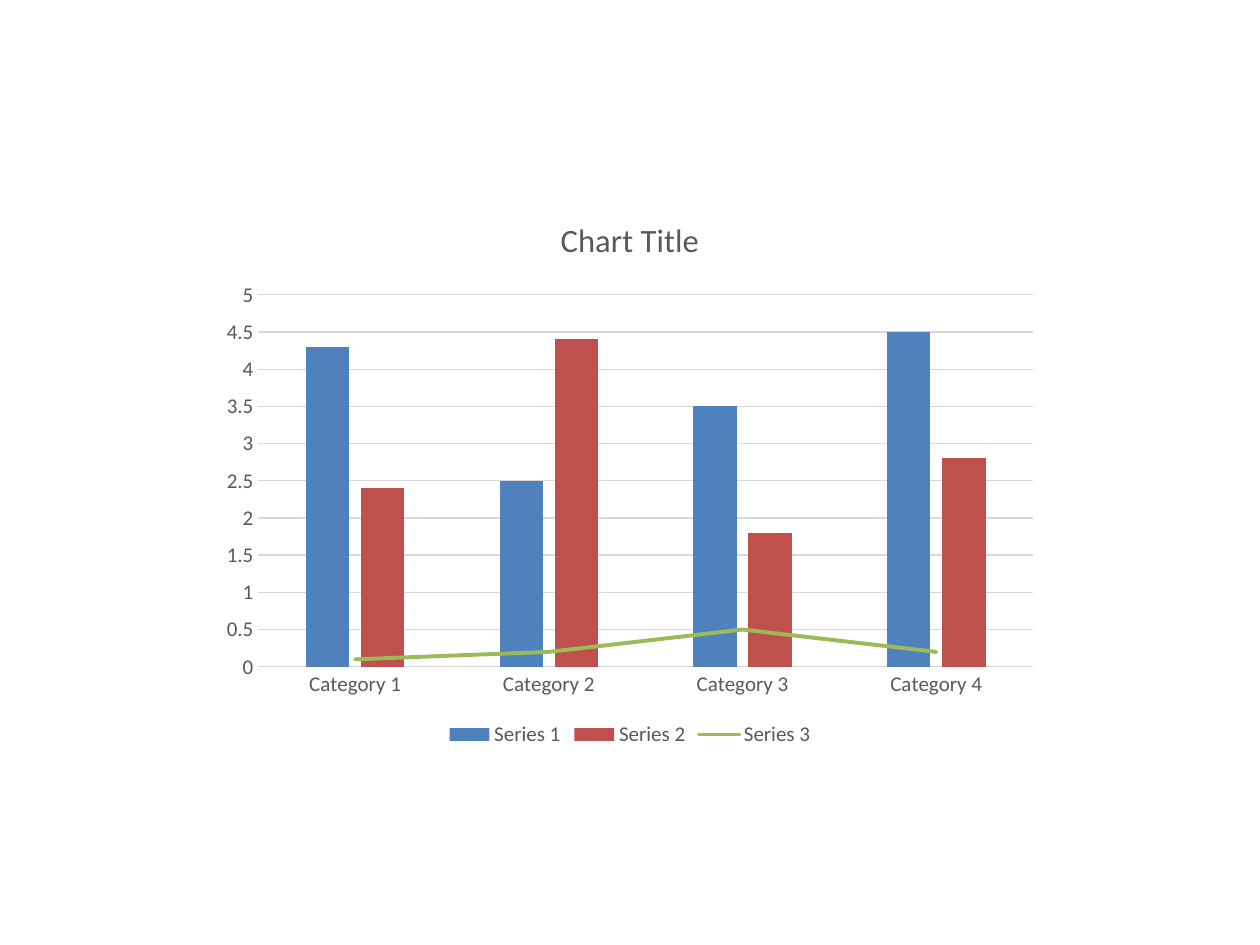
from copy import deepcopy

from lxml import etree
from pptx import Presentation
from pptx import util as u
from pptx.chart.data import CategoryChartData
from pptx.dml.color import RGBColor
from pptx.enum import chart as ch
from pptx.oxml import ns

# Content
TITLE = "Chart Title"
CATEGORIES = ["Category 1", "Category 2", "Category 3", "Category 4"]
SERIES = {
    "Series 1": (4.3, 2.5, 3.5, 4.5),
    "Series 2": (2.4, 4.4, 1.8, 2.8),
    "Series 3": (0.1, 0.2, 0.5, 0.2),
}
COLORS = {
    "Series 1": "4F81BD",
    "Series 2": "C0504D",
    "Series 3": "9BBB59",
    "text": "595959",
    "rule": "D9D9D9",
}
FONT = "Calibri"
PX = 914400 / 126


def px(length):
    return u.Emu(round(length * PX))


def color(name):
    return RGBColor.from_string(COLORS[name])


def style_font(font, size):
    font.name = FONT
    font.size = u.Pt(size)
    font.bold = False
    font.color.rgb = color("text")


def style_line(line, name, width):
    line.color.rgb = color(name)
    line.width = u.Pt(width)


def move_last_series_to_line(chart):
    """Draw the last column series as a line on the same axes."""
    bars = chart.plots[0]
    bar_xml = bars.series[0]._element.getparent()
    series = bars.series[len(bars.series) - 1]._element
    for flag in series.findall(ns.qn("c:invertIfNegative")):
        series.remove(flag)
    line_xml = etree.Element(ns.qn("c:lineChart"))
    etree.SubElement(line_xml, ns.qn("c:grouping")).set("val", "standard")
    etree.SubElement(line_xml, ns.qn("c:varyColors")).set("val", "0")
    line_xml.append(series)
    etree.SubElement(line_xml, ns.qn("c:marker")).set("val", "1")
    for axis_id in bar_xml.findall(ns.qn("c:axId")):
        line_xml.append(deepcopy(axis_id))
    bar_xml.addnext(line_xml)


def main():
    deck = Presentation()
    deck.slide_width, deck.slide_height = px(1260), px(945)
    page = deck.slides.add_slide(deck.slide_layouts[6])

    # Chart
    data = CategoryChartData()
    data.categories = CATEGORIES
    for name, values in SERIES.items():
        data.add_series(name, values)
    chart = page.shapes.add_chart(
        ch.XL_CHART_TYPE.COLUMN_CLUSTERED, px(210), px(193), px(840), px(559), data
    ).chart
    style_font(chart.font, 12)
    move_last_series_to_line(chart)

    # Title and legend
    chart.has_title = True
    chart.chart_title.include_in_layout = False
    title = chart.chart_title.text_frame
    title.text = TITLE
    style_font(title.paragraphs[0].font, 18.6)
    chart.has_legend = True
    chart.legend.position = ch.XL_LEGEND_POSITION.BOTTOM
    chart.legend.include_in_layout = False
    style_font(chart.legend.font, 12)

    # Columns and line
    bars, lines = chart.plots
    bars.gap_width, bars.overlap = 219, -27
    bars.vary_by_categories = False
    for series in bars.series:
        series.format.fill.solid()
        series.format.fill.fore_color.rgb = color(series.name)
    trend = lines.series[0]
    trend.smooth = False
    trend.marker.style = ch.XL_MARKER_STYLE.NONE
    style_line(trend.format.line, trend.name, 2.25)
    trend._element.find(".//" + ns.qn("a:ln")).set("cap", "rnd")

    # Axes
    for axis in (chart.category_axis, chart.value_axis):
        axis.major_tick_mark = axis.minor_tick_mark = ch.XL_TICK_MARK.NONE
        style_font(axis.tick_labels.font, 12)
    style_line(chart.category_axis.format.line, "rule", 0.75)
    scale = chart.value_axis
    scale.minimum_scale, scale.maximum_scale, scale.major_unit = 0, 5, 0.5
    scale.format.line.fill.background()
    scale.has_major_gridlines = True
    style_line(scale.major_gridlines.format.line, "rule", 0.75)

    deck.save("out.pptx")


if __name__ == "__main__":
    main()
